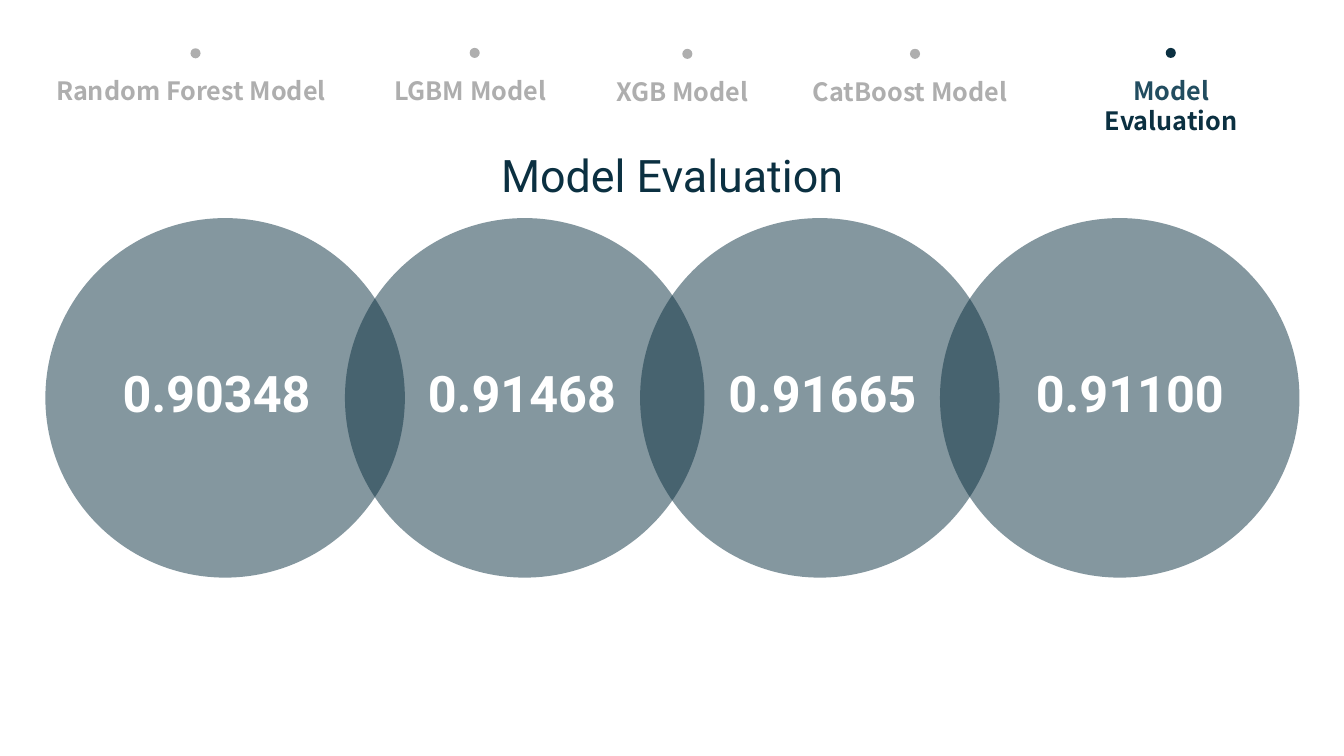
import pptx
import pptx.util
import pptx.dml.color
import pptx.enum.shapes
import pptx.enum.text
import lxml.etree
from pptx.util import Pt

NAVY = pptx.dml.color.RGBColor(0x0B, 0x30, 0x41)
TEAL = pptx.dml.color.RGBColor(0x22, 0x4D, 0x60)
GREY = pptx.dml.color.RGBColor(0xAE, 0xAE, 0xAE)
WHITE = pptx.dml.color.RGBColor(0xFF, 0xFF, 0xFF)
LABEL_FONT = "Noto Sans CJK KR"
NUMBER_FONT = "Roboto"
DOT_SIZE = 7.2
CIRCLE_SIZE = 256.8

STEPS = [
    ("Random Forest Model", 32.4, 50.4, 208, 136.1, 34.5),
    ("LGBM Model", 272.2, 50.4, 127.4, 335.5, 34.2),
    ("XGB Model", 431.3, 51.1, 112.3, 487.4, 34.9),
    ("CatBoost Model", 573.1, 51.1, 154.1, 650, 34.9),
]
SCORES = [
    ("0.90348", 32.4, 78.5),
    ("0.91468", 246.4, 296.6),
    ("0.91665", 457.2, 511.2),
    ("0.91100", 671.4, 730.8),
]


def add_circle(page, left, top, size, color, opacity=100):
    """Draw a borderless circle with the given opacity in percent."""
    circle = page.shapes.add_shape(
        pptx.enum.shapes.MSO_SHAPE.OVAL, Pt(left), Pt(top), Pt(size), Pt(size))
    circle.shadow.inherit = False
    circle.line.fill.background()
    circle.fill.solid()
    circle.fill.fore_color.rgb = color
    if opacity < 100:
        color_node = circle.fill._xPr.find(".//" + pptx.oxml.ns.qn("a:srgbClr"))
        alpha = lxml.etree.SubElement(color_node, pptx.oxml.ns.qn("a:alpha"))
        alpha.set("val", str(opacity * 1000))


def add_text(page, text, left, top, width, height, font, size, color, bold=True, wrap=False):
    """Place one centred line of text and return its paragraph."""
    box = page.shapes.add_textbox(Pt(left), Pt(top), Pt(width), Pt(height))
    box.text_frame.word_wrap = wrap
    box.text_frame.auto_size = pptx.enum.text.MSO_AUTO_SIZE.SHAPE_TO_FIT_TEXT
    para = box.text_frame.paragraphs[0]
    para.text = text
    para.alignment = pptx.enum.text.PP_ALIGN.CENTER
    para.font.name = font
    para.font.size = Pt(size)
    para.font.bold = bold
    para.font.color.rgb = color
    return para


def add_steps(page):
    """Draw the row of step labels with the current step highlighted."""
    for label, left, top, width, dot_left, dot_top in STEPS:
        add_text(page, label, left, top, width, 28.8, LABEL_FONT, 18, GREY)
        add_circle(page, dot_left, dot_top, DOT_SIZE, GREY)
    para = add_text(page, "Model", 753.8, 50.4, 165.6, 28.8, LABEL_FONT, 18, NAVY)
    para.runs[0].font.color.rgb = TEAL
    para.add_line_break()
    span = para.add_run()
    span.text = "Evaluation"
    add_circle(page, 832.7, 34.2, DOT_SIZE, NAVY)


def add_scores(page):
    """Draw the overlapping circles and the score in each of them."""
    for score, circle_left, text_left in SCORES:
        add_circle(page, circle_left, 155.8, CIRCLE_SIZE, NAVY, 50)
    for score, circle_left, text_left in SCORES:
        add_text(page, score, text_left, 254.9, 152.6, 51.1, NUMBER_FONT, 36, WHITE)


def main():
    """Build the model evaluation slide."""
    deck = pptx.Presentation()
    deck.slide_width, deck.slide_height = Pt(960), Pt(540)
    page = deck.slides.add_slide(deck.slide_layouts[6])
    add_steps(page)
    add_scores(page)
    add_text(page, "Model Evaluation", 51.1, 102.2, 858.2, 46.1, NUMBER_FONT, 32, NAVY,
             bold=False, wrap=True)
    deck.save("out.pptx")


if __name__ == "__main__":
    main()
